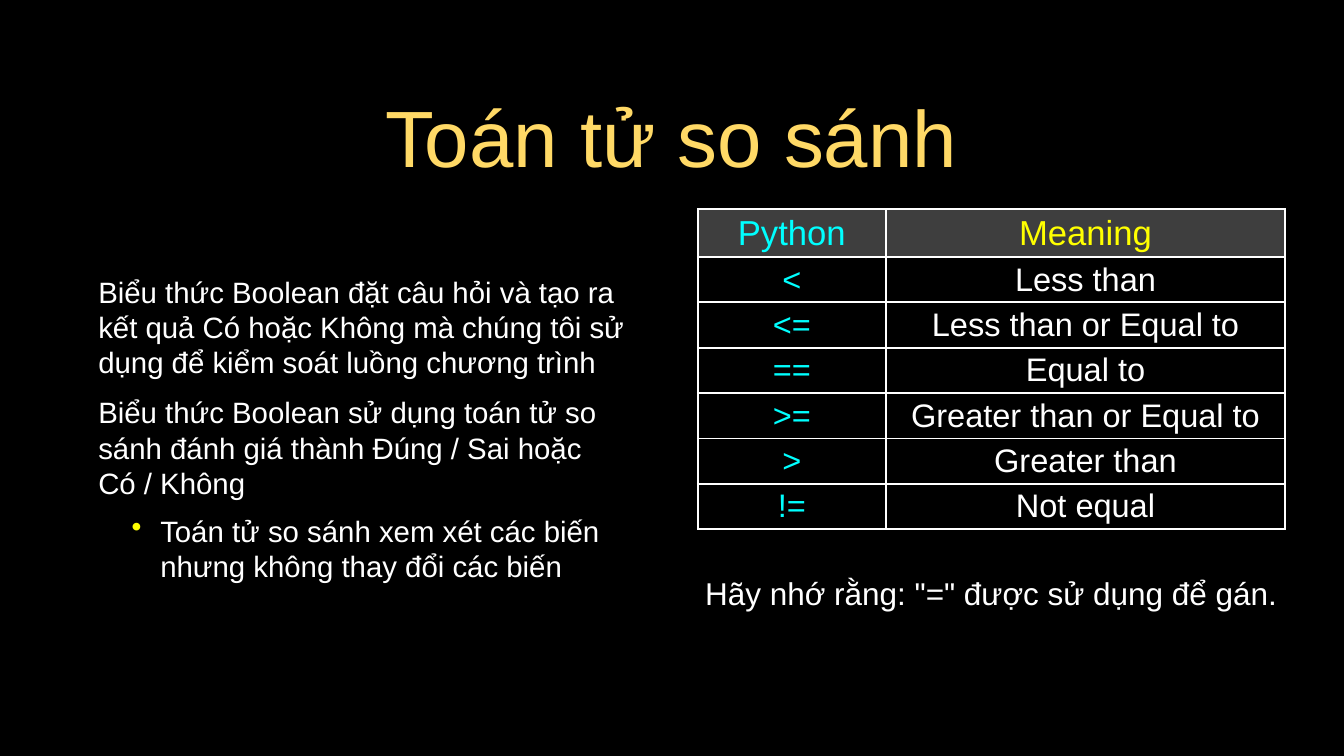
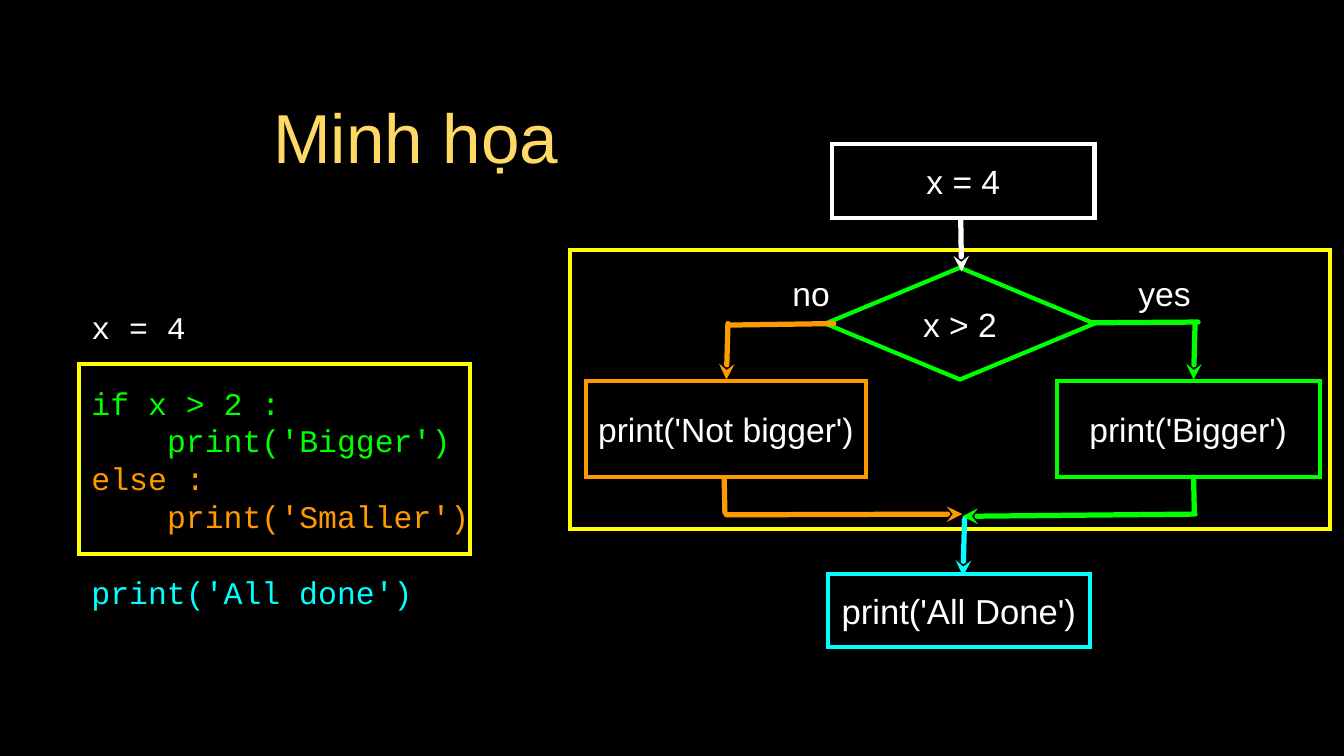
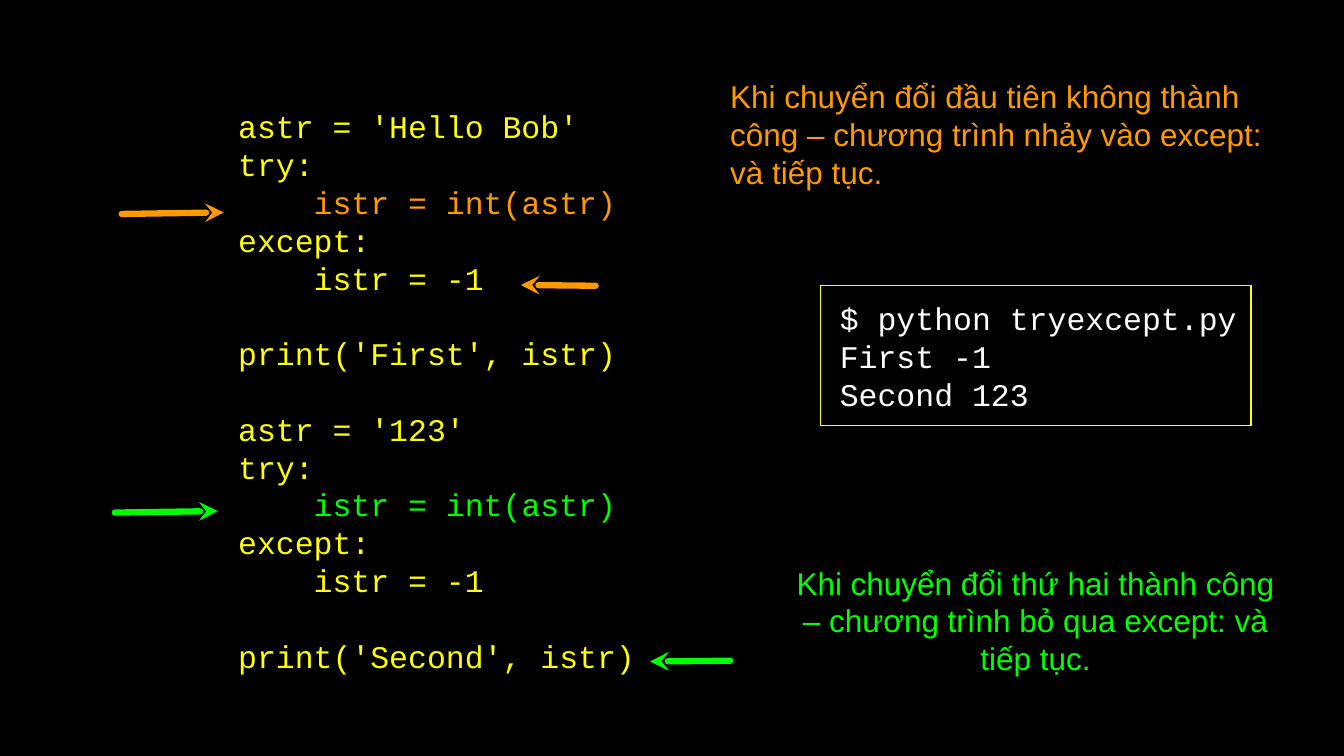
from dataclasses import dataclass
from typing import Optional

from lxml import etree
from pptx import Presentation
from pptx.dml.color import RGBColor
from pptx.enum.shapes import MSO_CONNECTOR, MSO_SHAPE
from pptx.enum.text import MSO_ANCHOR, PP_ALIGN
from pptx.oxml.ns import qn
from pptx.util import Inches, Pt

BLACK = RGBColor(0x00, 0x00, 0x00)
WHITE = RGBColor(0xFF, 0xFF, 0xFF)
GOLD = RGBColor(0xFF, 0xD9, 0x66)
YELLOW = RGBColor(0xFF, 0xFF, 0x00)
GREEN = RGBColor(0x00, 0xFF, 0x00)
ORANGE = RGBColor(0xFF, 0x99, 0x00)
CYAN = RGBColor(0x00, 0xFF, 0xFF)
GRAY = RGBColor(0x7F, 0x7F, 0x7F)

SANS, MONO = "Arial", "Courier New"
LEFT, CENTER = PP_ALIGN.LEFT, PP_ALIGN.CENTER
SLIDE_W, SLIDE_H = 17.78, 10
BAND_H = 0.86
LEADING = 1.2      # line pitch of running text, relative to its size
CODE_SIZE = 30
CODE_INDENT = 1.0  # four monospaced characters, in inches
CODE_GAP = 36      # one empty code line, in points
PAD = 0.04


@dataclass
class Para:
    text: str
    color: Optional[RGBColor] = None
    indent: float = 0
    before: float = 0
    bullet: bool = False


@dataclass
class Box:
    x: float
    y: float
    w: float
    h: float
    color: RGBColor
    text: str = ""
    size: float = 32
    kind: MSO_SHAPE = MSO_SHAPE.RECTANGLE
    weight: float = 4


@dataclass
class Line:
    """A straight line; an arrowhead sits at its start."""
    x1: float
    y1: float
    x2: float
    y2: float
    color: RGBColor
    arrow: bool = True


# Text

def write(tf, content, *, size=30, color=WHITE, font=SANS, align=CENTER, leading=None) -> None:
    paras = [Para(content)] if isinstance(content, str) else content
    for i, item in enumerate(paras):
        p = tf.paragraphs[0] if i == 0 else tf.add_paragraph()
        p.alignment = align
        p.space_before = Pt(item.before)
        if leading:
            p.line_spacing = Pt(size * leading)
        if item.indent:
            p._p.get_or_add_pPr().set("marL", str(Inches(item.indent)))
        if item.bullet:
            add_bullet(p)
        r = p.add_run()
        r.text = item.text
        r.font.size, r.font.name = Pt(size), font
        r.font.color.rgb = item.color or color


def add_bullet(p) -> None:
    pPr = p._p.get_or_add_pPr()
    pPr.set("indent", str(Inches(-0.38)))
    bu_color = etree.SubElement(pPr, qn("a:buClr"))
    etree.SubElement(bu_color, qn("a:srgbClr"), val=str(YELLOW))
    etree.SubElement(pPr, qn("a:buChar"), char="•")


def frame(sp, pad: float = 0):
    tf = sp.text_frame
    tf.word_wrap = True
    tf.vertical_anchor = MSO_ANCHOR.MIDDLE
    tf.margin_left = tf.margin_right = tf.margin_top = tf.margin_bottom = Inches(pad)
    return tf


def add_text(slide, x: float, y: float, w: float, h: float, content, pad: float = 0, **fmt) -> None:
    sp = slide.shapes.add_textbox(Inches(x), Inches(y), Inches(w), Inches(h))
    write(frame(sp, pad), content, **fmt)


def add_title(slide, text: str, width: float, size: float) -> None:
    add_text(slide, 1.26, 0.82, width, 1.96, text, PAD, size=size, color=GOLD)


def add_code(slide, x: float, y: float, w: float, h: float, lines: list[Para]) -> None:
    add_text(slide, x, y, w, h, lines, size=CODE_SIZE, font=MONO, align=LEFT, color=YELLOW,
             leading=LEADING)


# Shapes, lines and tables

def add_box(slide, box: Box):
    sp = slide.shapes.add_shape(box.kind, Inches(box.x), Inches(box.y), Inches(box.w), Inches(box.h))
    sp.shadow.inherit = False
    sp.fill.background()
    sp.line.color.rgb = box.color
    sp.line.width = Pt(box.weight)
    etree.SubElement(sp.line._get_or_add_ln(), qn("a:miter"), lim="800000")
    tf = frame(sp)
    if box.text:
        write(tf, box.text, size=box.size)
    return sp


def add_line(slide, line: Line, weight: float) -> None:
    cn = slide.shapes.add_connector(MSO_CONNECTOR.STRAIGHT, Inches(line.x1), Inches(line.y1),
                                    Inches(line.x2), Inches(line.y2))
    cn.line.color.rgb = line.color
    cn.line.width = Pt(weight)
    ln = cn.line._get_or_add_ln()
    ln.set("cap", "rnd")
    if line.arrow:
        etree.SubElement(ln, qn("a:headEnd"), type="stealth")
    etree.SubElement(cn._element.spPr, qn("a:effectLst"))


def add_borders(cell, color: RGBColor, weight: float) -> None:
    tcPr = cell._tc.get_or_add_tcPr()
    for i, side in enumerate(("lnL", "lnR", "lnT", "lnB")):
        ln = etree.Element(qn(f"a:{side}"), w=str(Pt(weight)))
        fill = etree.SubElement(ln, qn("a:solidFill"))
        etree.SubElement(fill, qn("a:srgbClr"), val=str(color))
        tcPr.insert(i, ln)


def add_operator_table(slide, rows: list[tuple[str, str]]) -> None:
    header_h, row_h, widths = 0.63, 0.6, (2.49, 5.28)
    height = header_h + row_h * (len(rows) - 1)
    table = slide.shapes.add_table(len(rows), 2, Inches(9.23), Inches(2.77),
                                   Inches(sum(widths)), Inches(height)).table
    table.first_row = table.horz_banding = False
    for col, width in zip(table.columns, widths):
        col.width = Inches(width)
    for i, values in enumerate(rows):
        header = i == 0
        table.rows[i].height = Inches(header_h if header else row_h)
        colors = (CYAN, YELLOW if header else WHITE)
        for j, (value, color) in enumerate(zip(values, colors)):
            cell = table.cell(i, j)
            cell.vertical_anchor = MSO_ANCHOR.MIDDLE
            cell.margin_left = cell.margin_right = Inches(PAD)
            cell.margin_top = cell.margin_bottom = Inches(PAD)
            if header:
                cell.fill.solid()
                cell.fill.fore_color.rgb = GRAY
                rgb = cell._tc.tcPr.find(".//" + qn("a:srgbClr"))
                etree.SubElement(rgb, qn("a:alpha"), val="49000")
            else:
                cell.fill.background()
            add_borders(cell, WHITE, 2)
            write(cell.text_frame, value, size=33 if header else 31, color=color)


# Slides

def new_slide(prs):
    slide = prs.slides.add_slide(prs.slide_layouts[6])
    slide.background.fill.solid()
    slide.background.fill.fore_color.rgb = BLACK
    # Footer band
    band = slide.shapes.add_shape(MSO_SHAPE.RECTANGLE, 0, Inches(SLIDE_H - BAND_H),
                                  Inches(SLIDE_W), Inches(BAND_H))
    band.shadow.inherit = False
    band.fill.solid()
    band.fill.fore_color.rgb = BLACK
    band.line.fill.background()
    return slide


def comparison_slide(prs) -> None:
    slide = new_slide(prs)
    add_title(slide, "Toán tử so sánh", 15.24, 76)
    add_text(slide, 1.26, 2.85, 7.05, 5.64, [
        Para("Biểu thức Boolean đặt câu hỏi và tạo ra kết quả Có hoặc Không mà chúng tôi "
             "sử dụng để kiểm soát luồng chương trình"),
        Para("Biểu thức Boolean sử dụng toán tử so sánh đánh giá thành Đúng / Sai hoặc "
             "Có / Không", before=14),
        Para("Toán tử so sánh xem xét các biến nhưng không thay đổi các biến",
             indent=0.82, before=12, bullet=True),
    ], PAD, size=28, align=LEFT, leading=LEADING)
    add_text(slide, 9.23, 7.56, 7.77, 0.56, 'Hãy nhớ rằng: "=" được sử dụng để gán.')
    add_operator_table(slide, [
        ("Python", "Meaning"),
        ("<", "Less than"),
        ("<=", "Less than or Equal to"),
        ("==", "Equal to"),
        (">=", "Greater than or Equal to"),
        (">", "Greater than"),
        ("!=", "Not equal"),
    ])


def flowchart_slide(prs) -> None:
    slide = new_slide(prs)
    add_box(slide, Box(1.05, 4.82, 5.17, 2.51, YELLOW))
    add_title(slide, "Minh họa", 8.48, 66)
    add_code(slide, 1.21, 3.88, 5.26, 4.39, [
        Para("x = 4", WHITE),
        Para("if x > 2 :", GREEN, before=CODE_GAP),
        Para("print('Bigger')", GREEN, CODE_INDENT),
        Para("else :", ORANGE),
        Para("print('Smaller')", ORANGE, CODE_INDENT),
        Para("print('All done')", CYAN, before=CODE_GAP),
    ])

    # Flowchart boxes
    for box in (
        Box(7.54, 3.31, 10.05, 3.69, YELLOW),
        Box(10.92, 3.54, 3.56, 1.48, GREEN, "x > 2", kind=MSO_SHAPE.DIAMOND),
        Box(13.98, 5.04, 3.48, 1.27, GREEN, "print('Bigger')"),
        Box(11.01, 1.91, 3.47, 0.97, WHITE, "x = 4"),
        Box(10.95, 7.59, 3.47, 0.97, CYAN, "print('All Done')", 33),
        Box(7.75, 5.04, 3.71, 1.27, ORANGE, "print('Not bigger')"),
    ):
        add_box(slide, box)

    # Branch labels
    add_text(slide, 14.96, 3.6, 0.89, 0.56, "yes", size=32)
    add_text(slide, 10.46, 3.6, 0.54, 0.56, "no", size=32)

    # Flow: entry, yes branch, no branch, exit
    for line in (
        Line(12.72, 3.59, 12.71, 2.9, WHITE),
        Line(14.45, 4.27, 15.85, 4.26, GREEN, arrow=False),
        Line(15.79, 5.02, 15.81, 4.28, GREEN),
        Line(12.73, 6.83, 15.81, 6.8, GREEN),
        Line(15.8, 6.77, 15.79, 6.31, GREEN, arrow=False),
        Line(9.63, 4.3, 11.03, 4.28, ORANGE, arrow=False),
        Line(9.61, 5.02, 9.63, 4.28, ORANGE),
        Line(12.73, 6.8, 9.61, 6.81, ORANGE),
        Line(9.59, 6.78, 9.58, 6.32, ORANGE, arrow=False),
        Line(12.74, 7.62, 12.76, 6.87, CYAN),
    ):
        add_line(slide, line, 5)


def try_block(value: str, label: str, color: RGBColor, before: float = 0) -> list[Para]:
    return [
        Para(f"astr = {value}", before=before),
        Para("try:"),
        Para("istr = int(astr)", color, CODE_INDENT),
        Para("except:"),
        Para("istr = -1", indent=CODE_INDENT),
        Para(f"print('{label}', istr)", before=CODE_GAP),
    ]


def try_except_slide(prs) -> None:
    slide = new_slide(prs)
    add_code(slide, 3.15, 1.24, 5.69, 7.86,
             try_block("'Hello Bob'", "First", ORANGE)
             + try_block("'123'", "Second", GREEN, CODE_GAP))

    # Program output
    output = add_box(slide, Box(10.86, 3.78, 5.69, 1.85, YELLOW, weight=1))
    output.text_frame.margin_left = Inches(0.25)
    write(output.text_frame,
          [Para("$ python tryexcept.py"), Para("First -1"), Para("Second 123")],
          size=CODE_SIZE, font=MONO, align=LEFT, leading=LEADING)

    # Explanations
    add_text(slide, 9.66, 0.99, 7.11, 1.57,
             "Khi chuyển đổi đầu tiên không thành công – chương trình nhảy vào except: "
             "và tiếp tục.", color=ORANGE, align=LEFT, leading=LEADING)
    add_text(slide, 10.48, 7.42, 6.44, 1.57,
             "Khi chuyển đổi thứ hai thành công – chương trình bỏ qua except: và tiếp tục.",
             color=GREEN, leading=LEADING)

    # Pointers to the lines that run
    for line in (
        Line(2.96, 2.81, 1.61, 2.83, ORANGE),
        Line(6.89, 3.77, 7.88, 3.78, ORANGE),
        Line(2.88, 6.76, 1.52, 6.78, GREEN),
        Line(8.6, 8.75, 9.66, 8.74, GREEN),
    ):
        add_line(slide, line, 6)


def main() -> None:
    prs = Presentation()
    prs.slide_width, prs.slide_height = Inches(SLIDE_W), Inches(SLIDE_H)
    comparison_slide(prs)
    flowchart_slide(prs)
    try_except_slide(prs)
    prs.save("out.pptx")


if __name__ == "__main__":
    main()
